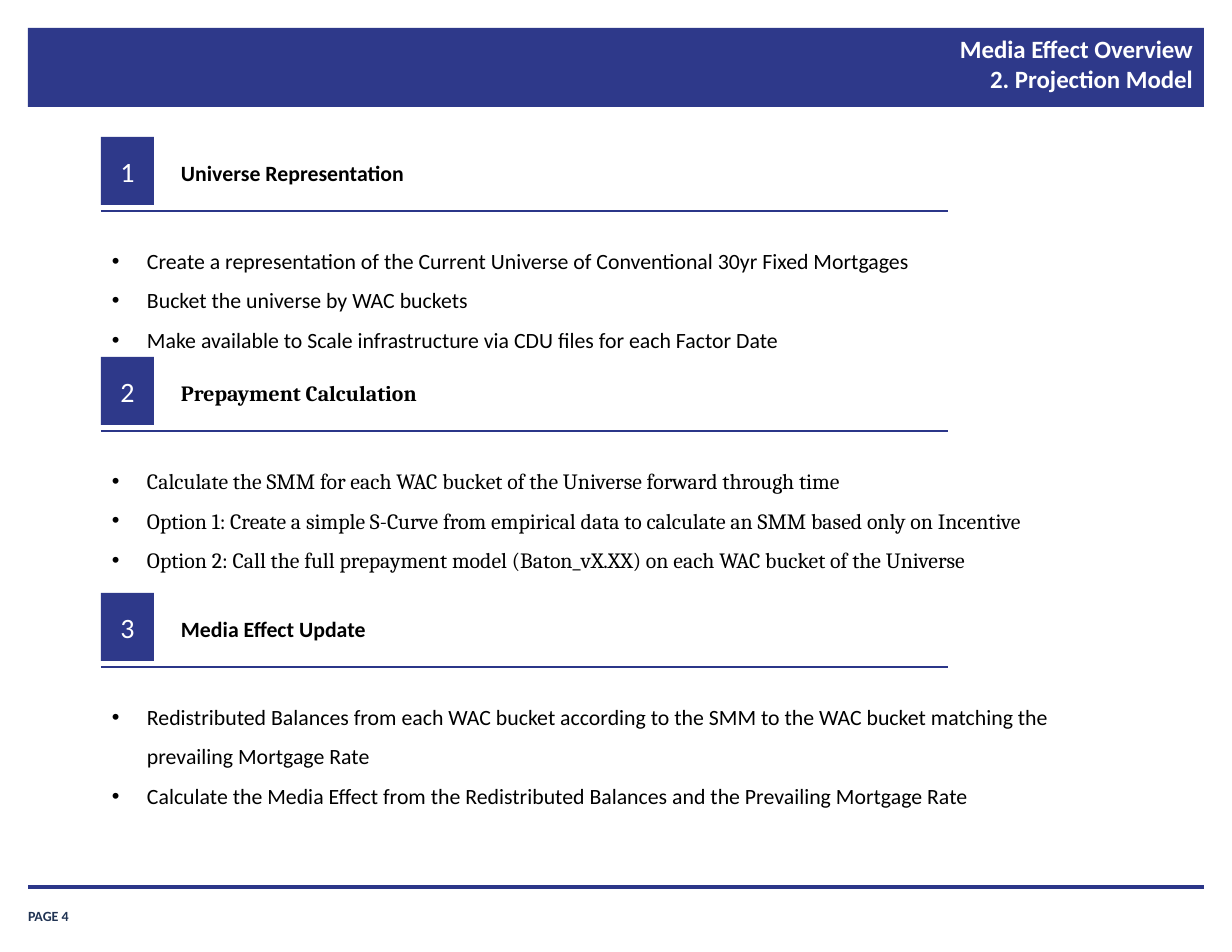
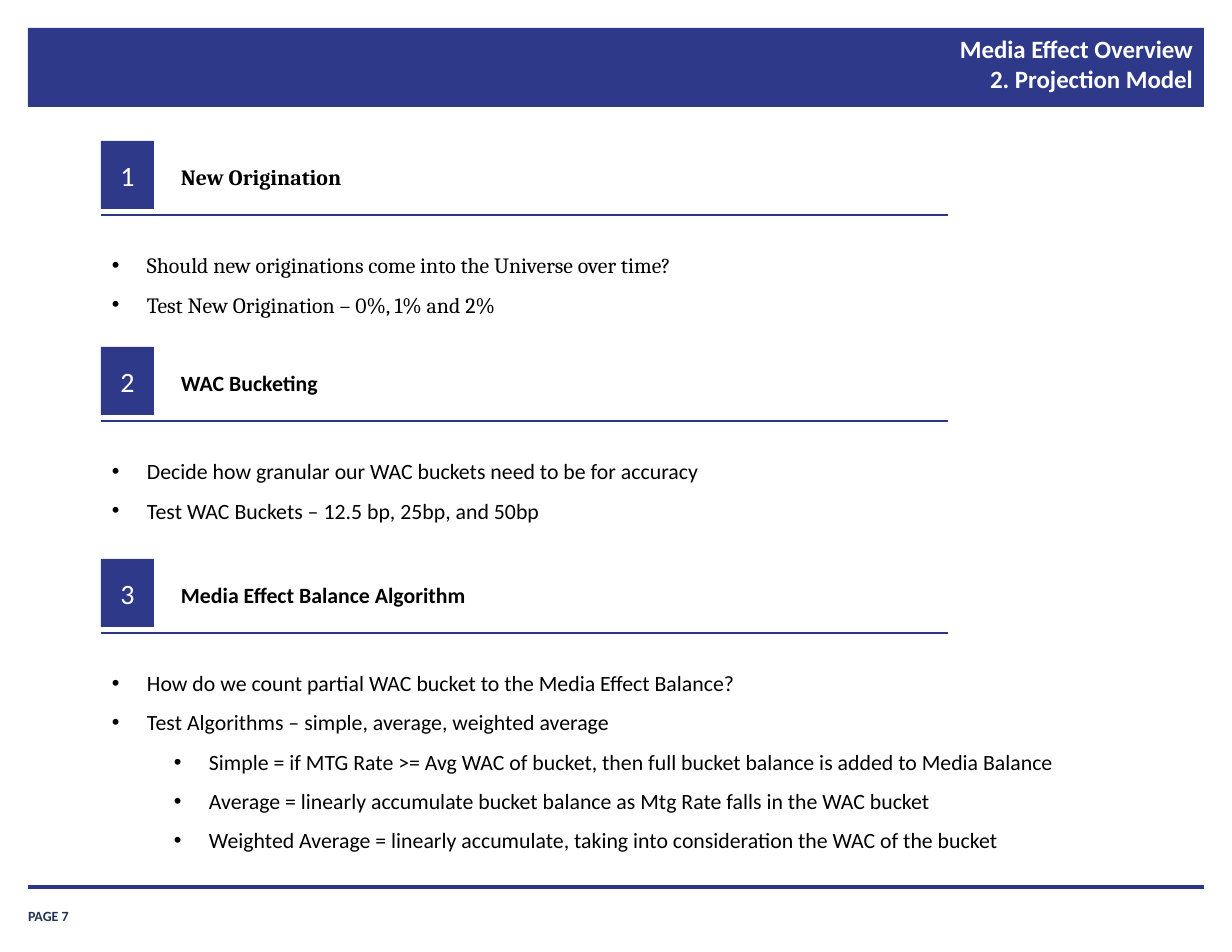
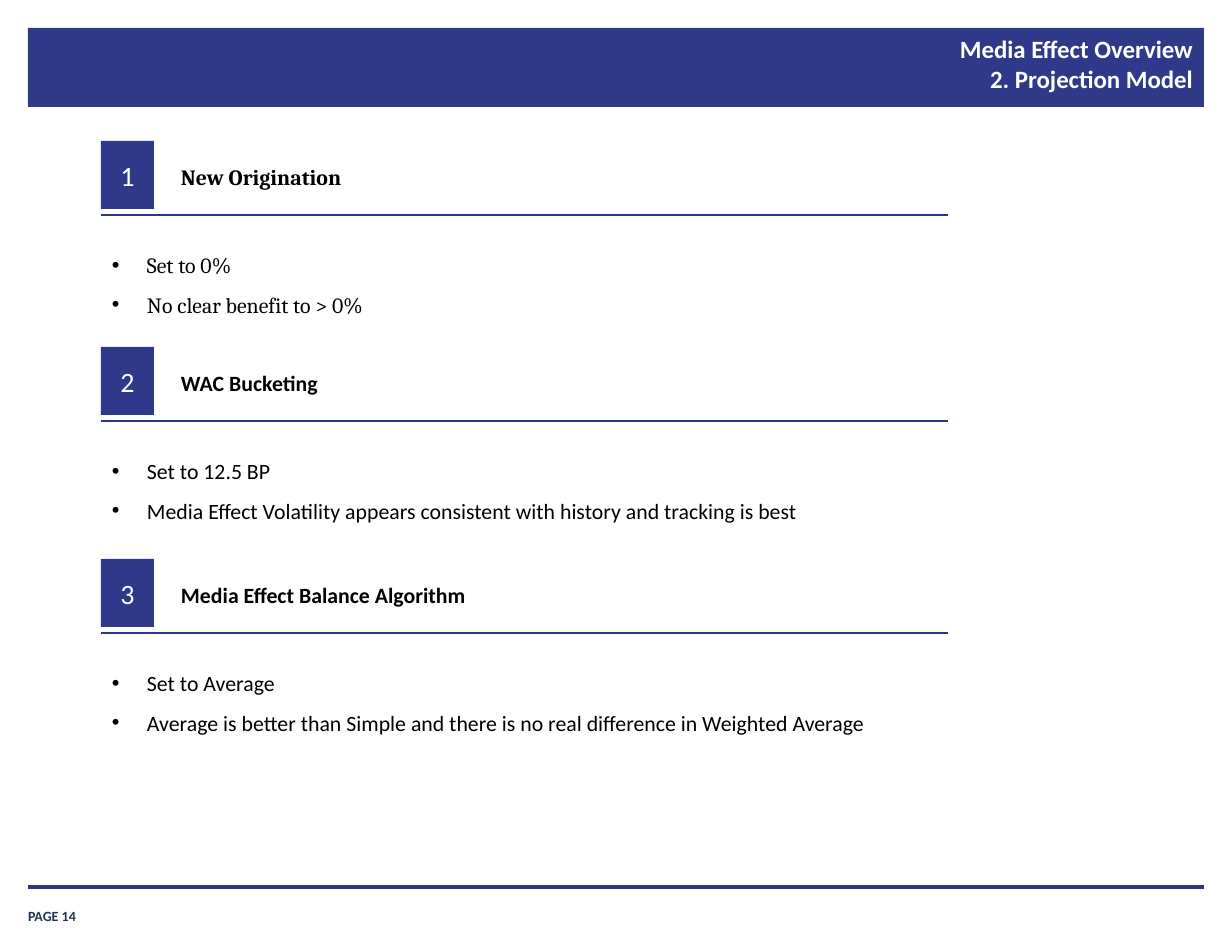
from math import ceil

from lxml import etree
from pptx import Presentation
from pptx.dml.color import RGBColor
from pptx.enum.shapes import MSO_CONNECTOR, MSO_SHAPE
from pptx.enum.text import MSO_ANCHOR, MSO_AUTO_SIZE, PP_ALIGN
from pptx.oxml.ns import qn
from pptx.util import Emu, Pt

RECT, STRAIGHT = MSO_SHAPE.RECTANGLE, MSO_CONNECTOR.STRAIGHT
TOP, MIDDLE, BOTTOM = MSO_ANCHOR.TOP, MSO_ANCHOR.MIDDLE, MSO_ANCHOR.BOTTOM
LEFT, CENTER, RIGHT = PP_ALIGN.LEFT, PP_ALIGN.CENTER, PP_ALIGN.RIGHT
GROW = MSO_AUTO_SIZE.SHAPE_TO_FIT_TEXT

# Colours, fonts and text styles
BAND, RULE, FOOTER, WHITE, BLACK = "2E398A", "2B3689", "203353", "FFFFFF", "000000"
SANS, SERIF = "Calibri", "Cambria"
TITLE_FMT = {"name": SANS, "size": Pt(16), "bold": True, "color": WHITE}
PAGE_FMT = {"name": SANS, "size": Pt(9), "bold": True, "color": FOOTER}
NUMBER_FMT = {"name": SANS, "size": Pt(18), "color": WHITE}
BODY_FMT = {"size": Pt(14), "color": BLACK}

# Layout in px, 112 to the inch
PX = 914400 / 112
SLIDE_W, SLIDE_H = 1232, 952
MARGIN, CONTENT_X = 28, 101
BULLET_INDENTS, BULLET_HANG = (35, 97), 35
LINE_CHARS, LINE_H = 100, 39
DEFAULT_INSETS = (11, 6, 11, 6)

TITLE = ["Media Effect Overview", "2. Projection Model"]

# Page number, then sections: top, font, heading, bullets (text or (level, text))
SLIDES = [
    (4, [
        (137, SANS, "Universe Representation", [
            "Create a representation of the Current Universe of Conventional 30yr Fixed Mortgages",
            "Bucket the universe by WAC buckets",
            "Make available to Scale infrastructure via CDU files for each Factor Date"]),
        (357, SERIF, "Prepayment Calculation", [
            "Calculate the SMM for each WAC bucket of the Universe forward through time",
            "Option 1: Create a simple S-Curve from empirical data to calculate an SMM "
            "based only on Incentive",
            "Option 2: Call the full prepayment model (Baton_vX.XX) on each WAC bucket "
            "of the Universe"]),
        (593, SANS, "Media Effect Update", [
            "Redistributed Balances from each WAC bucket according to the SMM to the "
            "WAC bucket matching the prevailing Mortgage Rate",
            "Calculate the Media Effect from the Redistributed Balances and the "
            "Prevailing Mortgage Rate"]),
    ]),
    (7, [
        (141, SERIF, "New Origination", [
            "Should new originations come into the Universe over time?",
            "Test New Origination – 0%, 1% and 2%"]),
        (347, SANS, "WAC Bucketing", [
            "Decide how granular our WAC buckets need to be for accuracy",
            "Test WAC Buckets – 12.5 bp, 25bp, and 50bp"]),
        (559, SANS, "Media Effect Balance Algorithm", [
            "How do we count partial WAC bucket to the Media Effect Balance?",
            "Test Algorithms – simple, average, weighted average",
            (1, "Simple = if MTG Rate >= Avg WAC of bucket, then full bucket balance "
                "is added to Media Balance"),
            (1, "Average = linearly accumulate bucket balance as Mtg Rate falls in the "
                "WAC bucket"),
            (1, "Weighted Average = linearly accumulate, taking into consideration the "
                "WAC of the bucket")]),
    ]),
    (14, [
        (141, SERIF, "New Origination", [
            "Set to 0%",
            "No clear benefit to > 0%"]),
        (347, SANS, "WAC Bucketing", [
            "Set to 12.5 BP",
            "Media Effect Volatility appears consistent with history and tracking is best"]),
        (559, SANS, "Media Effect Balance Algorithm", [
            "Set to Average",
            "Average is better than Simple and there is no real difference in Weighted Average"]),
    ]),
]


def px(n):
    return Emu(round(n * PX))


def rgb(color):
    return RGBColor.from_string(color)


def write(p, text, fmt):
    r = p.add_run()
    r.text = text
    for key, value in fmt.items():
        if key == "color":
            r.font.color.rgb = rgb(value)
        else:
            setattr(r.font, key, value)


def add_bullet(p, level):
    p.level = level
    p.line_spacing = 1.5
    pPr = p._p.get_or_add_pPr()
    pPr.set("marL", str(px(BULLET_INDENTS[level])))
    pPr.set("indent", str(-px(BULLET_HANG)))
    etree.SubElement(pPr, qn("a:buFont")).set("typeface", "Arial")
    etree.SubElement(pPr, qn("a:buChar")).set("char", "•")


def add_text(shapes, box, lines, fmt, align=LEFT, anchor=TOP,
             insets=DEFAULT_INSETS, grow=False, bullets=False):
    sp = shapes.add_textbox(*map(px, box))
    tf = sp.text_frame
    tf.word_wrap = True
    tf.vertical_anchor = anchor
    for side, inset in zip(("left", "top", "right", "bottom"), insets):
        setattr(tf, f"margin_{side}", px(inset))
    if grow:
        tf.auto_size = GROW
    for i, line in enumerate(lines):
        level, text = line if isinstance(line, tuple) else (0, line)
        p = tf.add_paragraph() if i else tf.paragraphs[0]
        p.alignment = align
        if bullets:
            add_bullet(p, level)
        write(p, text, fmt)


def add_block(shapes, box):
    sp = shapes.add_shape(RECT, *map(px, box))
    sp.shadow.inherit = False
    sp.fill.solid()
    sp.fill.fore_color.rgb = rgb(BAND)
    sp.line.fill.background()
    return sp


def add_rule(shapes, x1, x2, y, weight):
    line = shapes.add_connector(STRAIGHT, px(x1), px(y), px(x2), px(y))
    line.line.color.rgb = rgb(RULE)
    line.line.width = Pt(weight)
    etree.SubElement(line._element.spPr, qn("a:effectLst"))


def add_frame(shapes, page):
    """Title band, footer rule and page number."""
    add_block(shapes, (MARGIN, MARGIN, SLIDE_W - 2 * MARGIN, 79))
    add_text(shapes, (MARGIN, 898, 102, 26), [f"PAGE {page}"], PAGE_FMT,
             anchor=BOTTOM, insets=(0, 0, 0, 0))
    add_rule(shapes, MARGIN, SLIDE_W - MARGIN, 887, 2)
    add_text(shapes, (372, 27, 833, 83), TITLE, TITLE_FMT, align=RIGHT,
             insets=(12, 7, 12, 7))


def add_section(slide, number, top, font, heading, bullets):
    """Numbered block with heading, rule and bullet list, as one group."""
    shapes = slide.shapes.add_group_shape().shapes
    fmt = {"name": font, **BODY_FMT}
    block = add_block(shapes, (CONTENT_X, top, 53, 68))
    tf = block.text_frame
    tf.vertical_anchor = MIDDLE
    p = tf.paragraphs[0]
    p.alignment = CENTER
    write(p, str(number), NUMBER_FMT)
    add_rule(shapes, CONTENT_X, 948, top + 74, 1)
    add_text(shapes, (170, top + 17, 498, 38), [heading], {**fmt, "bold": True}, grow=True)
    rows = sum(ceil(len(b) / LINE_CHARS) if isinstance(b, str) else 1 for b in bullets)
    add_text(shapes, (CONTENT_X, top + 92, 1047, 12 + rows * LINE_H), bullets, fmt,
             grow=True, bullets=True)


def main():
    prs = Presentation()
    prs.slide_width, prs.slide_height = px(SLIDE_W), px(SLIDE_H)
    for page, sections in SLIDES:
        slide = prs.slides.add_slide(prs.slide_layouts[6])
        add_frame(slide.shapes, page)
        for number, section in enumerate(sections, 1):
            add_section(slide, number, *section)
    prs.save("out.pptx")


if __name__ == "__main__":
    main()
